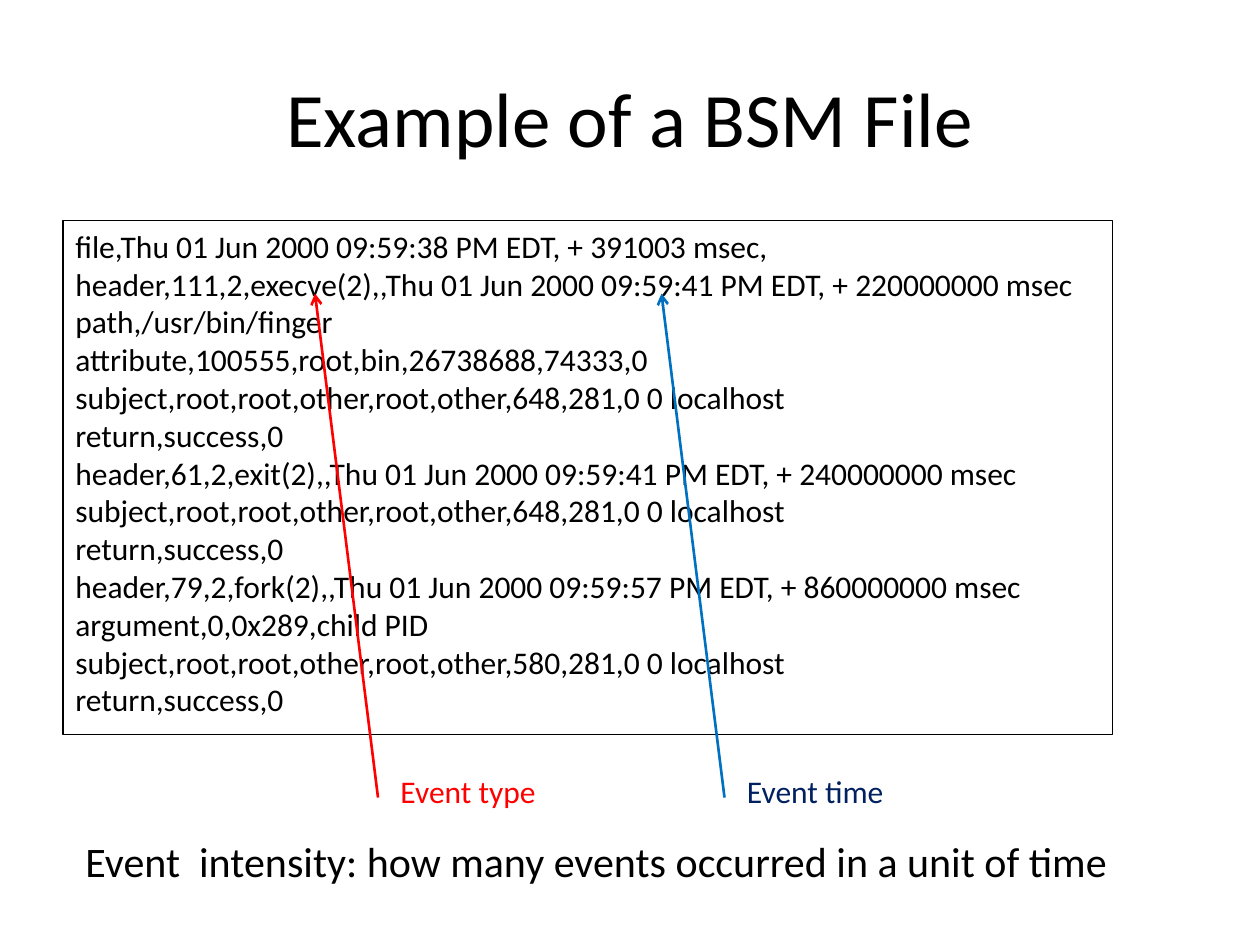
from lxml.etree import SubElement
from pptx import Presentation
from pptx.dml.color import RGBColor
from pptx.enum.shapes import MSO_CONNECTOR
from pptx.enum.text import MSO_ANCHOR, PP_ALIGN
from pptx.oxml.ns import qn
from pptx.util import Inches, Pt

BLACK = RGBColor(0x00, 0x00, 0x00)
RED = RGBColor(0xFF, 0x00, 0x00)
BLUE = RGBColor(0x00, 0x70, 0xC0)
NAVY = RGBColor(0x00, 0x20, 0x60)

RECORDS = [
    "file,Thu 01 Jun 2000 09:59:38 PM EDT, + 391003 msec,",
    "header,111,2,execve(2),,Thu 01 Jun 2000 09:59:41 PM EDT, + 220000000 msec",
    "path,/usr/bin/finger",
    "attribute,100555,root,bin,26738688,74333,0",
    "subject,root,root,other,root,other,648,281,0 0 localhost",
    "return,success,0",
    "header,61,2,exit(2),,Thu 01 Jun 2000 09:59:41 PM EDT, + 240000000 msec",
    "subject,root,root,other,root,other,648,281,0 0 localhost",
    "return,success,0",
    "header,79,2,fork(2),,Thu 01 Jun 2000 09:59:57 PM EDT, + 860000000 msec",
    "argument,0,0x289,child PID",
    "subject,root,root,other,root,other,580,281,0 0 localhost",
    "return,success,0",
]
CALLOUTS = [("Event type", 3, RED, RED), ("Event time", 5.75, BLUE, NAVY)]


class SlideBuilder:
    """Adds consistently styled elements to one slide."""

    font = "Calibri"

    def __init__(self, page):
        self.page = page

    def add_span(self, para, text, size, color):
        span = para.add_run()
        span.text = text
        span.font.name = self.font
        span.font.size = Pt(size)
        span.font.color.rgb = color

    def title(self, text, left, top, width, height):
        box = self.page.shapes.title
        box.left, box.top = Inches(left), Inches(top)
        box.width, box.height = Inches(width), Inches(height)
        box.text_frame.vertical_anchor = MSO_ANCHOR.MIDDLE
        para = box.text_frame.paragraphs[0]
        para.alignment = PP_ALIGN.CENTER
        self.add_span(para, text, 44, BLACK)

    def text(self, lines, left, top, width, height, size=18, color=BLACK, spacing=None):
        box = self.page.shapes.add_textbox(
            Inches(left), Inches(top), Inches(width), Inches(height)
        )
        frame = box.text_frame
        frame.word_wrap = True
        for index, line in enumerate(lines):
            para = frame.add_paragraph() if index else frame.paragraphs[0]
            para.line_spacing = spacing
            self.add_span(para, line, size, color)
        return box

    def listing(self, lines, left, top, width, height):
        box = self.text(lines, left, top, width, height, spacing=Pt(21.6))
        box.line.color.rgb = BLACK
        box.line.width = Pt(0.75)

    def arrow(self, start, end, color):
        line = self.page.shapes.add_connector(
            MSO_CONNECTOR.STRAIGHT, *(Inches(value) for value in start + end)
        )
        line.line.color.rgb = color
        line.line.width = Pt(1.5)
        properties = line._element.spPr
        SubElement(properties.get_or_add_ln(), qn("a:tailEnd"), type="arrow")
        SubElement(properties, qn("a:effectLst"))


def main():
    deck = Presentation()
    deck.slide_width, deck.slide_height = Inches(10), Inches(7.5)
    builder = SlideBuilder(deck.slides.add_slide(deck.slide_layouts[5]))
    builder.title("Example of a BSM File", 0.5, 0.3, 9, 1.25)
    builder.listing(RECORDS, 0.5, 1.75, 8.33, 4.08)
    for label, left, line_color, text_color in CALLOUTS:
        builder.arrow((left, 6.33), (left - 0.5, 2.33), line_color)
        builder.text([label], left + 0.08, 6.08, 1.29, 0.42, color=text_color)
    summary = "Event  intensity: how many events occurred in a unit of time"
    builder.text([summary], 0.58, 6.58, 8.42, 0.5, size=24)
    deck.save("out.pptx")


if __name__ == "__main__":
    main()
